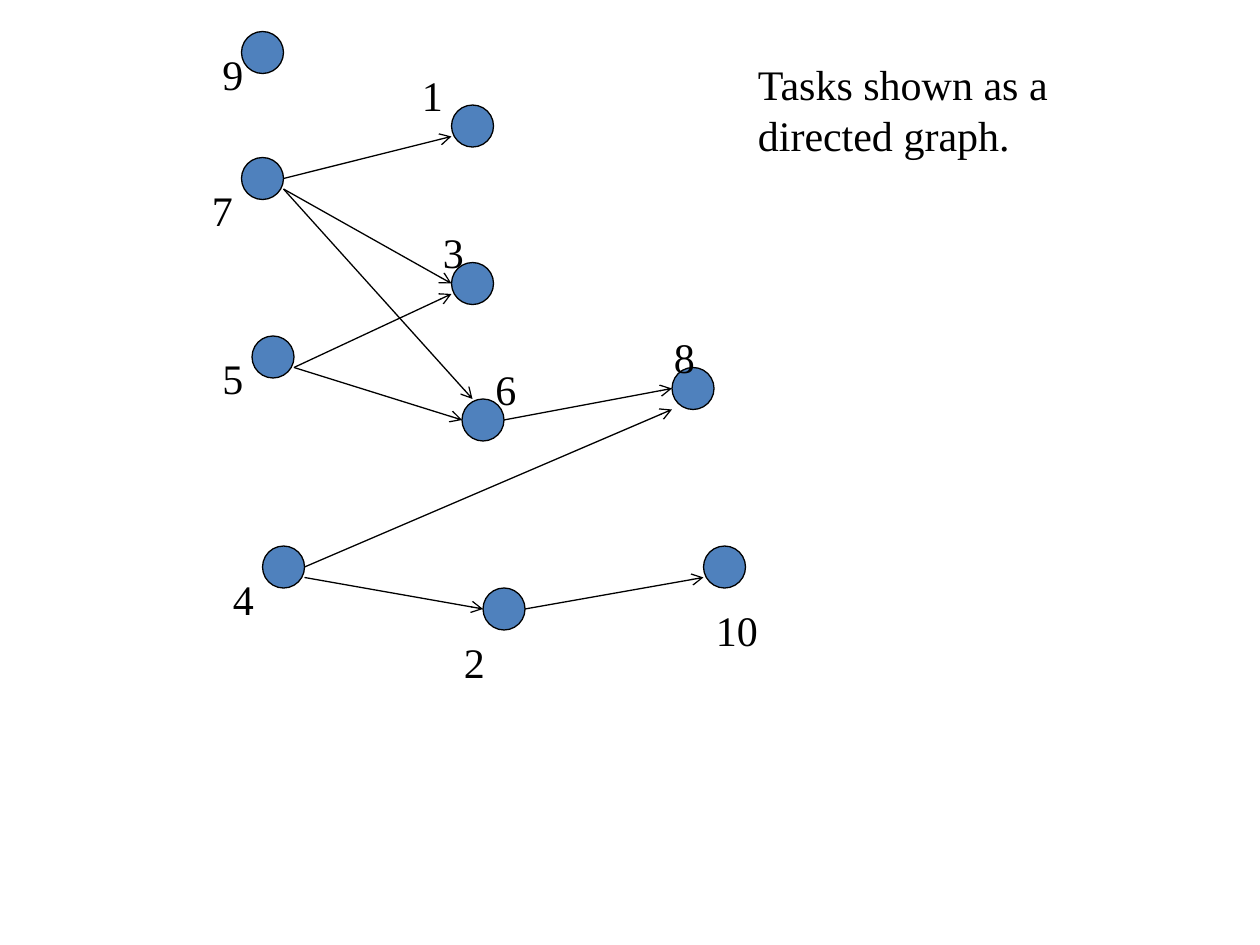
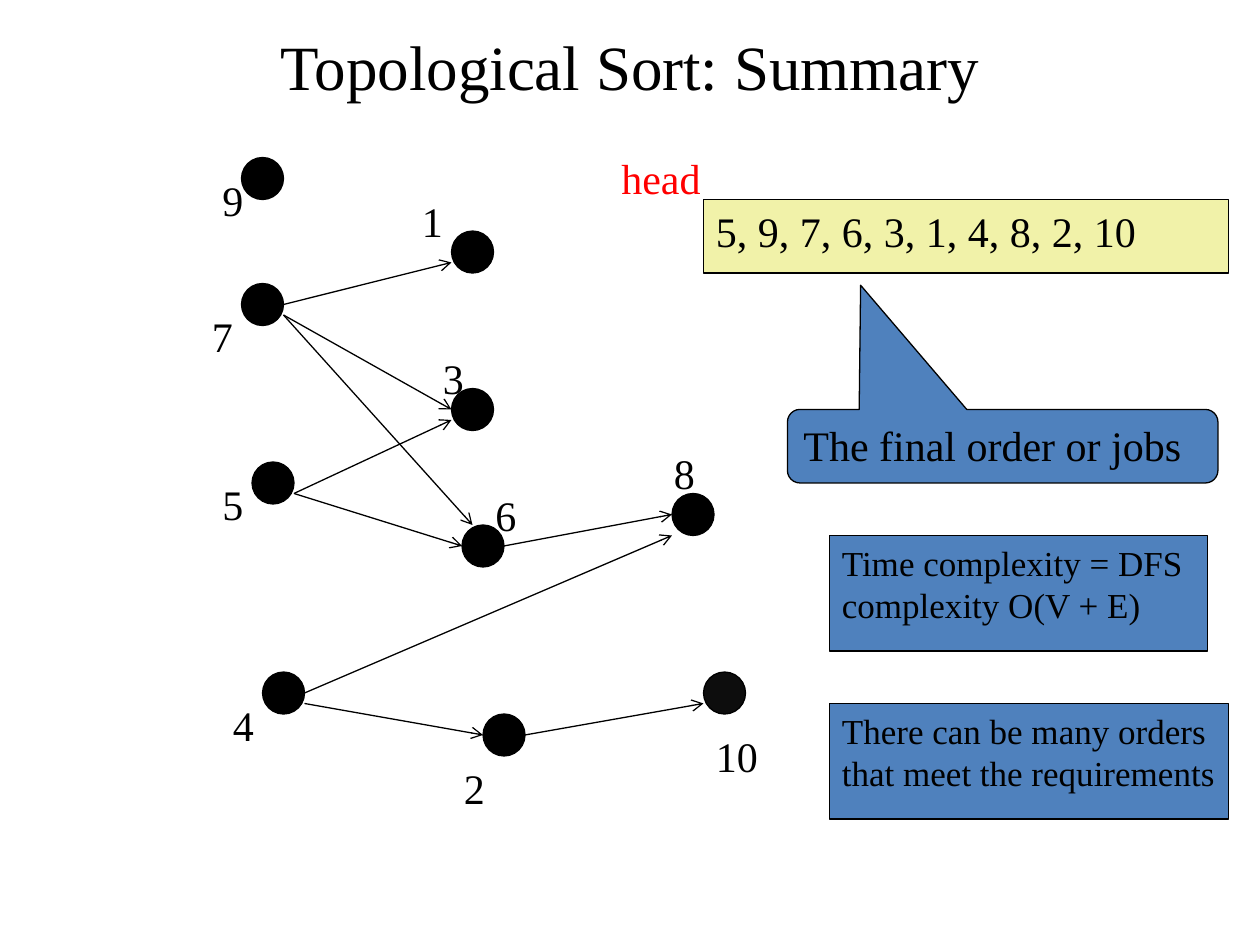
import pptx
import pptx.util
import pptx.dml.color
import pptx.enum.shapes
import pptx.enum.text
import pptx.oxml
import pptx.oxml.ns

Pt = pptx.util.Pt
Shapes = pptx.enum.shapes.MSO_SHAPE
AutoSize = pptx.enum.text.MSO_AUTO_SIZE
Align = pptx.enum.text.PP_ALIGN

FONT = "Times New Roman"
BLACK, BLUE, YELLOW, RED = "000000", "4F81BD", "F1F2A9", "FF0000"
NODE_SIZE = 24


def rgb(hex_color):
    return pptx.dml.color.RGBColor.from_string(hex_color)


def add_box(slide, bounds, text="", size=24, color=BLACK, kind=None, fill=None):
    """Add a text box, or an outlined preset shape when a kind is given."""
    bounds = [Pt(length) for length in bounds]
    if kind is None:
        shape = slide.shapes.add_textbox(*bounds)
    else:
        shape = slide.shapes.add_shape(kind, *bounds)
        shape.shadow.inherit = False
        shape.fill.solid()
        shape.fill.fore_color.rgb = rgb(fill)
        shape.line.color.rgb = rgb(BLACK)
        shape.line.width = Pt(0.75)
    if text:
        frame = shape.text_frame
        frame.text = text
        frame.word_wrap = True
        frame.auto_size = AutoSize.SHAPE_TO_FIT_TEXT if kind is None else AutoSize.NONE
        frame.vertical_anchor = pptx.enum.text.MSO_ANCHOR.TOP
        paragraph = frame.paragraphs[0]
        paragraph.alignment = Align.LEFT
        font = paragraph.runs[0].font
        font.name, font.size = FONT, Pt(size)
        font.color.rgb = rgb(color)
    return shape


# Task graph: node number -> left and top of its circle
nodes = {
    7: (138, 90), 5: (144, 192), 4: (150, 312), 9: (138, 18), 8: (384, 210),
    6: (264, 228), 10: (402, 312), 2: (276, 336), 1: (258, 60), 3: (258, 150),
}
# Node number -> left, top and width of its label
labels = {
    9: (120, 24, 24), 1: (234, 36, 30), 7: (114, 102, 24), 3: (246, 126, 30),
    5: (120, 198, 30), 4: (126, 324, 24), 6: (276, 204, 24), 8: (378, 186, 36),
    2: (258, 360, 36), 10: (402, 342, 48),
}
# From node, to node, drop at the start, offset of the arrowhead in the target
edges = [
    (7, 1, 12, 0, 18), (7, 3, 18, 0, 12), (7, 6, 18, 6, 0),
    (5, 3, 18, 0, 18), (5, 6, 18, 0, 12), (6, 8, 12, 0, 12),
    (4, 8, 12, 0, 24), (4, 2, 18, 0, 12), (2, 10, 12, 0, 18),
]

presentation = pptx.Presentation()
presentation.slide_width, presentation.slide_height = Pt(720), Pt(540)
blank = presentation.slide_layouts[6]
graph_slide = presentation.slides.add_slide(blank)
summary_slide = presentation.slides.add_slide(blank)

# The graph on both slides; slide, shift down, node fill, fill and label shift of exceptions
for slide, shift, node_fill, special_fills, label_shifts in [
    (graph_slide, 0, BLUE, {}, {}),
    (summary_slide, 72, BLACK, {10: "0D0D0D"}, {8: 66}),
]:
    for number, (left, top) in nodes.items():
        add_box(slide, (left, top + shift, NODE_SIZE, NODE_SIZE), kind=Shapes.OVAL,
                fill=special_fills.get(number, node_fill))

    for source, target, start_drop, end_x, end_y in edges:
        source_left, source_top = nodes[source]
        target_left, target_top = nodes[target]
        arrow = slide.shapes.add_connector(
            pptx.enum.shapes.MSO_CONNECTOR.STRAIGHT,
            Pt(source_left + NODE_SIZE), Pt(source_top + start_drop + shift),
            Pt(target_left + end_x), Pt(target_top + end_y + shift))
        arrow.line.color.rgb = rgb(BLACK)
        arrow.line.width = Pt(0.75)
        line_xml = arrow.line._get_or_add_ln()
        line_xml.append(pptx.oxml.parse_xml(
            f'<a:tailEnd {pptx.oxml.ns.nsdecls("a")} type="arrow"/>'))
        line_xml.addnext(pptx.oxml.parse_xml(
            f'<a:effectLst {pptx.oxml.ns.nsdecls("a")}/>'))

    for number, (left, top, width) in labels.items():
        label_top = top + label_shifts.get(number, shift)
        add_box(slide, (left, label_top, width, 36), str(number))

# Slide 1: caption
add_box(graph_slide, (426, 30, 228, 65.5), "Tasks shown as a directed graph.")

# Slide 2: title
title = add_box(summary_slide, (24, 12, 672, 51), "Topological Sort: Summary", 36)
title.text_frame.paragraphs[0].alignment = Align.CENTER

# Slide 2: sorted list with its head
add_box(summary_slide, (402, 114, 300, 42), "5, 9, 7, 6, 3, 1, 4, 8, 2, 10",
        kind=Shapes.RECTANGLE, fill=YELLOW)
head = add_box(summary_slide, (348, 83.5, 60.5, 36.5), "head", color=RED)
head.text_frame.word_wrap = False

# Slide 2: callout pointing at the list
callout = add_box(summary_slide, (450, 234, 246, 42), "The final order or jobs",
                  kind=Shapes.ROUNDED_RECTANGULAR_CALLOUT, fill=BLUE)
for index, value in enumerate((-0.33, -2.19, 0.17)):
    callout.adjustments[index] = value

# Slide 2: remarks
for top, width, remark in [
    (306, 216, "Time complexity = DFS complexity O(V + E)"),
    (402, 228, "There can be many orders that meet the requirements"),
]:
    add_box(summary_slide, (474, top, width, 66), remark, 20,
            kind=Shapes.RECTANGLE, fill=BLUE)

presentation.save("out.pptx")
